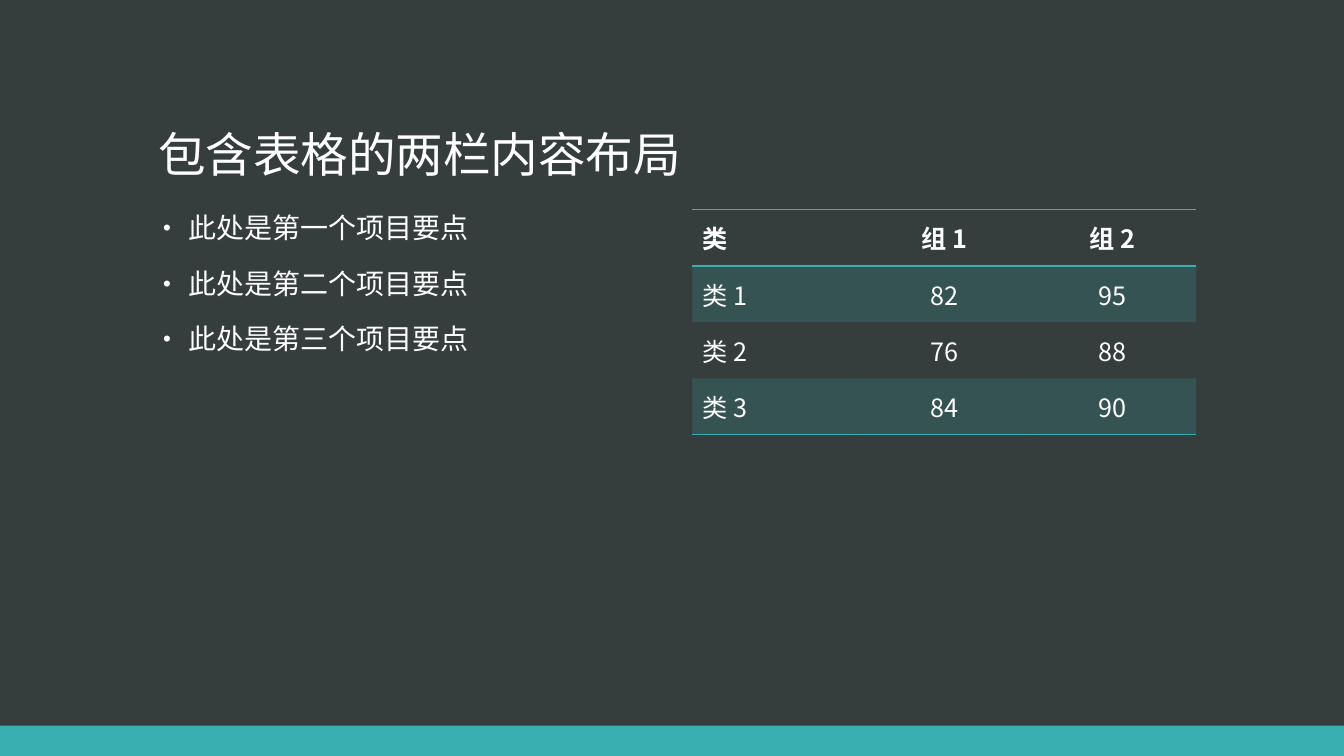
from dataclasses import dataclass

import pptx
import pptx.dml.color
import pptx.enum.shapes
import pptx.enum.text
import pptx.oxml
import pptx.oxml.ns
import pptx.oxml.xmlchemy
import pptx.slide
import pptx.table
import pptx.text.text
import pptx.util

Pt = pptx.util.Pt
ALIGN = pptx.enum.text.PP_ALIGN
ANCHOR = pptx.enum.text.MSO_ANCHOR
qn = pptx.oxml.ns.qn

FONT = "Noto Sans CJK SC"
DARK, TEAL, WHITE = "363D3D", "3AAFB2", "FFFFFF"
WIDTH, HEIGHT = 960, 540
LEFT, CONTENT_TOP, COLUMN_WIDTH = 105.84, 149.76, 360
TABLE_LEFT, ROW_HEIGHT = 494.64, 40.2
NO_STYLE = "{2D5ABB26-0587-4C30-8999-92F81FD0307C}"


@dataclass
class TableRow:
    values: tuple[str, ...]
    bold: bool = False
    banded: bool = False
    borders: tuple[str, ...] = ()


ROWS = [
    TableRow(("类", "组 1", "组 2"), bold=True, borders=("lnT", "lnB")),
    TableRow(("类 1", "82", "95"), banded=True),
    TableRow(("类 2", "76", "88")),
    TableRow(("类 3", "84", "90"), banded=True, borders=("lnB",)),
]
POINTS = ["此处是第一个项目要点", "此处是第二个项目要点", "此处是第三个项目要点"]


def rgb(value: str) -> pptx.dml.color.RGBColor:
    return pptx.dml.color.RGBColor.from_string(value)


def add_xml(parent: pptx.oxml.xmlchemy.BaseOxmlElement, tag: str,
            **attributes: str) -> pptx.oxml.xmlchemy.BaseOxmlElement:
    child = parent.makeelement(qn(tag), attributes)
    parent.append(child)
    return child


def write(paragraph: pptx.text.text._Paragraph, text: str, *, size: float,
          bold: bool = False, align: ALIGN = ALIGN.LEFT,
          line_spacing: float = 1.0, space_before: float = 0,
          bullet: bool = False) -> None:
    paragraph.alignment = align
    paragraph.line_spacing = line_spacing
    paragraph.space_before = Pt(space_before)
    if bullet:
        properties = paragraph._p.get_or_add_pPr()
        properties.set("marL", str(Pt(21.6)))
        properties.set("indent", str(Pt(-18)))
        add_xml(properties, "a:buSzPct", val="80000")
        add_xml(properties, "a:buFont", typeface="Arial")
        add_xml(properties, "a:buChar", char="•")
    run = paragraph.add_run()
    run.text = text
    run.font.size = Pt(size)
    run.font.bold = bold
    run.font.name = FONT
    run.font.color.rgb = rgb(WHITE)
    add_xml(run.font._element, "a:ea", typeface=FONT)


def add_frame(slide: pptx.slide.Slide, left: float, top: float, width: float,
              height: float, anchor: ANCHOR) -> pptx.text.text.TextFrame:
    frame = slide.shapes.add_textbox(
        Pt(left), Pt(top), Pt(width), Pt(height)).text_frame
    frame.word_wrap = True
    frame.vertical_anchor = anchor
    return frame


def format_cell(cell: pptx.table._Cell, row: TableRow) -> None:
    cell.vertical_anchor = ANCHOR.MIDDLE
    properties = cell._tc.get_or_add_tcPr()
    for side in row.borders:
        line = add_xml(properties, f"a:{side}", w=str(Pt(1)))
        add_xml(add_xml(line, "a:solidFill"), "a:srgbClr", val=TEAL)
    if row.banded:
        cell.fill.solid()
        cell.fill.fore_color.rgb = rgb(TEAL)
        color = properties.find(qn("a:solidFill")).find(qn("a:srgbClr"))
        add_xml(color, "a:alpha", val="20000")
    else:
        cell.fill.background()


def add_scores(slide: pptx.slide.Slide) -> None:
    columns = len(ROWS[0].values)
    scores = slide.shapes.add_table(
        len(ROWS), columns, Pt(TABLE_LEFT), Pt(CONTENT_TOP),
        Pt(COLUMN_WIDTH), Pt(ROW_HEIGHT * len(ROWS))).table
    scores.first_row = scores.horz_banding = False
    scores._tbl.tblPr.find(qn("a:tableStyleId")).text = NO_STYLE
    for row_index, row in enumerate(ROWS):
        for column_index, value in enumerate(row.values):
            cell = scores.cell(row_index, column_index)
            write(cell.text_frame.paragraphs[0], value, size=18, bold=row.bold,
                  align=ALIGN.CENTER if column_index else ALIGN.LEFT)
            format_cell(cell, row)


def main() -> None:
    presentation = pptx.Presentation()
    presentation.slide_width, presentation.slide_height = Pt(WIDTH), Pt(HEIGHT)
    slide = presentation.slides.add_slide(presentation.slide_layouts[6])

    # Background and bottom band
    slide.background.fill.solid()
    slide.background.fill.fore_color.rgb = rgb(DARK)
    band = slide.shapes.add_shape(
        pptx.enum.shapes.MSO_SHAPE.RECTANGLE,
        Pt(0), Pt(518.4), Pt(WIDTH), Pt(21.6))
    band.shadow.inherit = False
    band.fill.solid()
    band.fill.fore_color.rgb = rgb(TEAL)
    band.line.fill.background()

    # Title
    title = add_frame(slide, LEFT, 36.72, 748.8, 97.2, ANCHOR.BOTTOM)
    write(title.paragraphs[0], "包含表格的两栏内容布局", size=34, line_spacing=0.9)

    # Bullet points
    points = add_frame(slide, LEFT, CONTENT_TOP, COLUMN_WIDTH, 324.72, ANCHOR.TOP)
    for index, point in enumerate(POINTS):
        paragraph = points.add_paragraph() if index else points.paragraphs[0]
        write(paragraph, point, size=20, line_spacing=0.9,
              space_before=18 if index else 0, bullet=True)

    # Table
    add_scores(slide)

    presentation.save("out.pptx")


if __name__ == "__main__":
    main()
